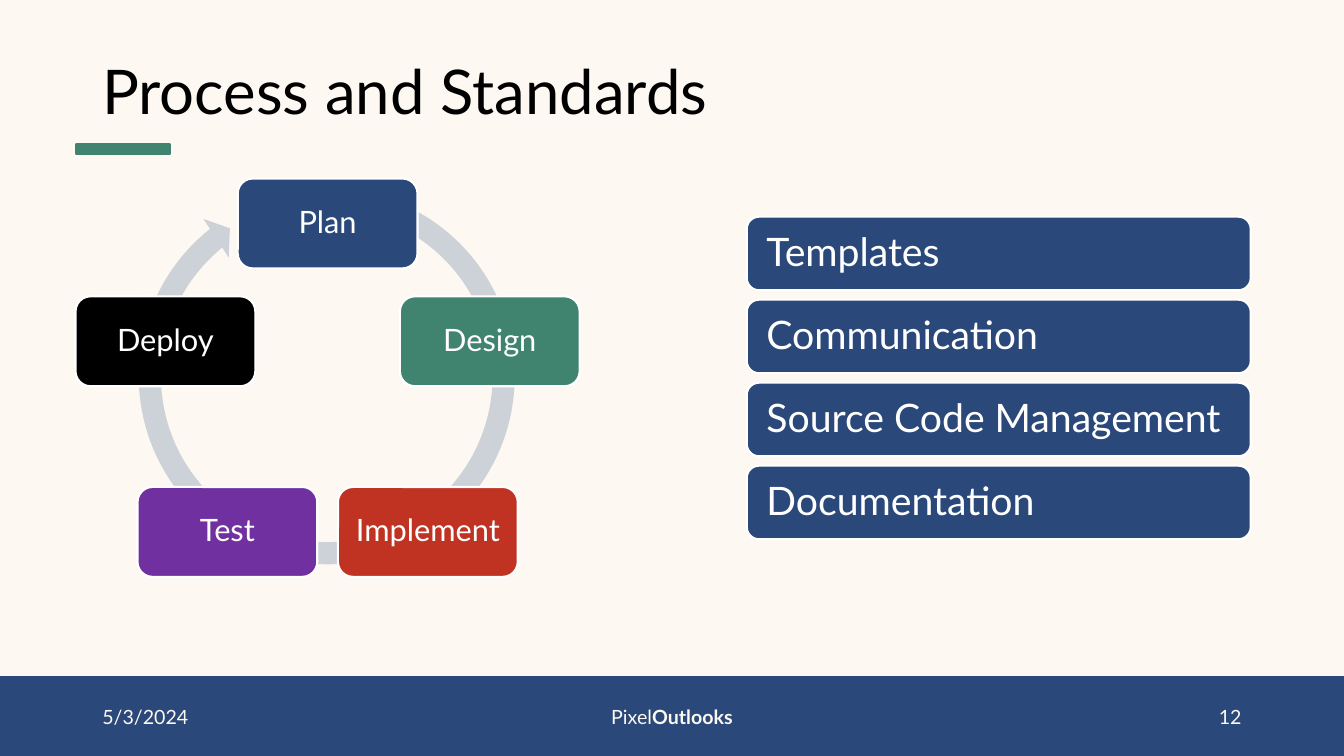
"""Build the Process and Standards slide: a cycle of steps beside a list of standards."""
from dataclasses import dataclass
from math import cos, pi, sin

from pptx import Presentation
from pptx.dml.color import RGBColor
from pptx.enum.shapes import MSO_SHAPE
from pptx.enum.text import MSO_ANCHOR, PP_ALIGN
from pptx.util import Inches, Pt


@dataclass(frozen=True)
class Theme:
    """Colours, font and type sizes."""
    font: str = "Lato"
    paper: str = "FDF8F1"
    ink: str = "000000"
    white: str = "FFFFFF"
    navy: str = "2A4879"
    green: str = "40846F"
    red: str = "C03221"
    purple: str = "7030A0"
    ring: str = "CCD2D8"
    title: int = 44
    item: int = 28
    step: int = 22
    foot: int = 14


LOOK = Theme()
TITLE = "Process and Standards"
STEPS = [
    ("Plan", LOOK.navy),
    ("Design", LOOK.green),
    ("Implement", LOOK.red),
    ("Test", LOOK.purple),
    ("Deploy", LOOK.ink),
]
ITEMS = ["Templates", "Communication", "Source Code Management", "Documentation"]
FOOTER = [
    (["5/3/2024"], 11, 36, PP_ALIGN.LEFT),
    (["Pixel", "Outlooks"], 53, 54, PP_ALIGN.CENTER),
    (["12"], 113, 36, PP_ALIGN.RIGHT),
]

COLS, ROWS = 160, 90
MID_X, MID_Y, RADIUS = 39, 46.9, 20.3
STEP_W, STEP_H = 21.4, 10.7
LIST_X, LIST_Y, LIST_W, ITEM_H, PITCH = 88.9, 25.8, 60, 8.76, 9.88
BEND = [0.05544, 3.3068, 138.781, 173.241, 0.05757]

deck = Presentation()
deck.slide_width, deck.slide_height = Inches(13.33), Inches(7.5)
slide = deck.slides.add_slide(deck.slide_layouts[6])
slide.background.fill.solid()
slide.background.fill.fore_color.rgb = RGBColor.from_string(LOOK.paper)


def place(x, y, w, h):
    """Turn grid columns and rows into slide lengths."""
    col, row = deck.slide_width / COLS, deck.slide_height / ROWS
    return [int(n) for n in (x * col, y * row, w * col, h * row)]


def block(kind, spot, fill, line=None):
    """Draw a filled preset shape."""
    shape = slide.shapes.add_shape(kind, *place(*spot))
    shape.shadow.inherit = False
    shape.fill.solid()
    shape.fill.fore_color.rgb = RGBColor.from_string(fill)
    if line:
        shape.line.color.rgb = RGBColor.from_string(line)
        shape.line.width = Pt(1.5)
    else:
        shape.line.fill.background()
    return shape


def write(shape, runs, size, color, align=PP_ALIGN.LEFT, pad=0.1, space=None):
    """Set one paragraph whose runs after the first are bold."""
    frame = shape.text_frame
    frame.word_wrap = True
    frame.vertical_anchor = MSO_ANCHOR.MIDDLE
    frame.margin_left = frame.margin_right = Inches(pad)
    para = frame.paragraphs[0]
    para.alignment = align
    para.line_spacing = space
    for spot, words in enumerate(runs):
        run = para.add_run()
        run.text = words
        run.font.name = LOOK.font
        run.font.size = Pt(size)
        run.font.bold = spot > 0
        run.font.color.rgb = RGBColor.from_string(color)


def box(*spot):
    """Add an empty text box on the grid."""
    return slide.shapes.add_textbox(*place(*spot))


write(box(11, 4.8, 138, 13), [TITLE], LOOK.title, LOOK.ink, space=0.9)
block(MSO_SHAPE.RECTANGLE, (0, 80.6, COLS, 9.4), LOOK.navy, LOOK.navy)
block(MSO_SHAPE.RECTANGLE, (9, 17.2, 11.2, 1.1), LOOK.green, LOOK.green)
for runs, x, w, align in FOOTER:
    write(box(x, 82.9, w, 4.8), runs, LOOK.foot, LOOK.paper, align)

ring = block(MSO_SHAPE.CIRCULAR_ARROW, (15.1, 21, 47.6, 47.6), LOOK.ring)
for spot, bend in enumerate(BEND):
    ring.adjustments[spot] = bend

for spot, (name, fill) in enumerate(STEPS):
    turn = 2 * pi * spot / len(STEPS)
    x = MID_X + RADIUS * sin(turn) - STEP_W / 2
    y = MID_Y - RADIUS * cos(turn) - STEP_H / 2
    card = block(MSO_SHAPE.ROUNDED_RECTANGLE, (x, y, STEP_W, STEP_H), fill, LOOK.white)
    write(card, [name], LOOK.step, LOOK.white, PP_ALIGN.CENTER, 0.13, 0.9)

for spot, name in enumerate(ITEMS):
    area = (LIST_X, LIST_Y + spot * PITCH, LIST_W, ITEM_H)
    card = block(MSO_SHAPE.ROUNDED_RECTANGLE, area, LOOK.navy, LOOK.white)
    write(card, [name], LOOK.item, LOOK.white, pad=0.16, space=0.9)

deck.save("out.pptx")
